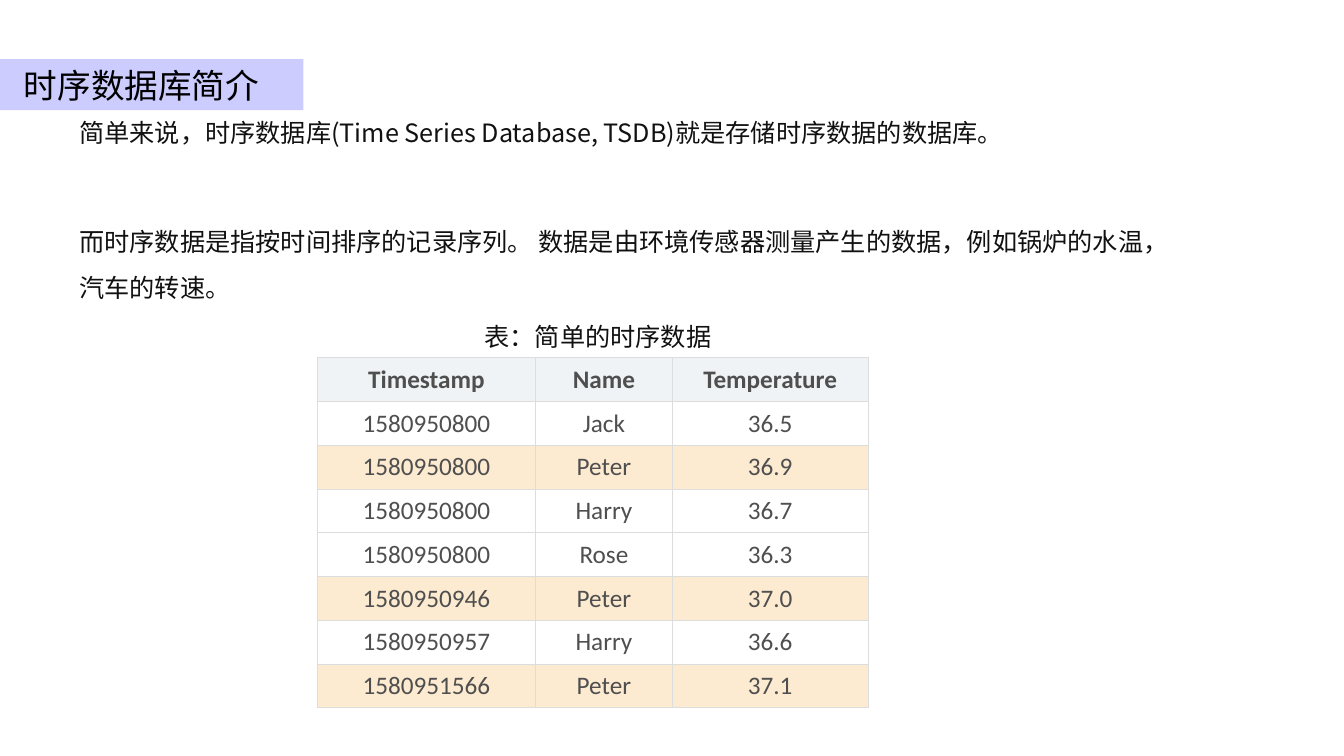
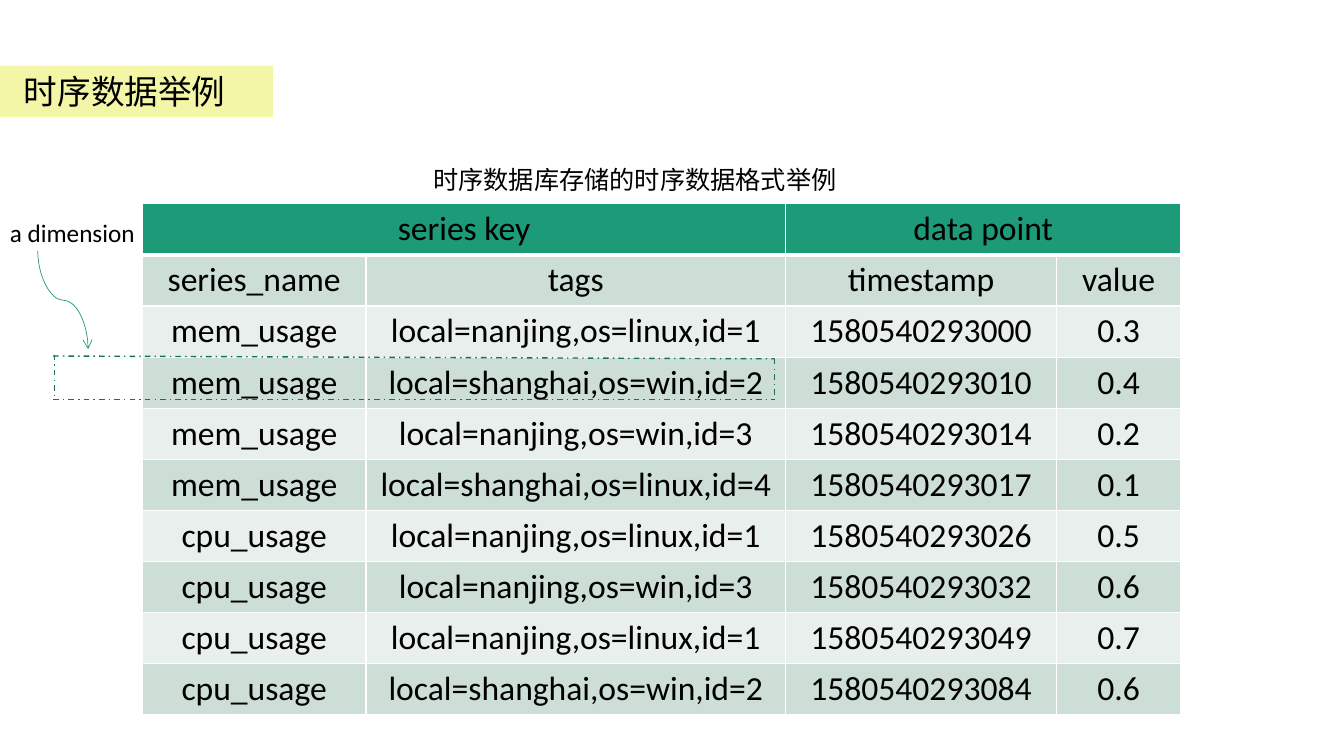
from collections import namedtuple

from lxml.etree import SubElement
from pptx import Presentation
from pptx.dml.color import RGBColor
from pptx.enum.dml import MSO_LINE_DASH_STYLE as Dash
from pptx.enum.shapes import MSO_CONNECTOR as Connector
from pptx.enum.text import MSO_ANCHOR as Anchor, MSO_AUTO_SIZE as AutoSize, PP_ALIGN as Align
from pptx.oxml.ns import qn
from pptx.util import Pt

Box = namedtuple("Box", "left top width height")

COLORS = {
    "black": "000000", "ink": "111111", "gray": "4F4F4F", "white": "FFFFFF",
    "lilac": "CCCCFF", "yellow": "F3F5A7",
    "header": "EFF3F5", "highlight": "FCEBD1", "grid": "DDDDDD",
    "green": "1D9A78", "dark_green": "157259", "band": "CDDED6", "pale_band": "E8EFEC",
}
CHINESE_FONT = "Noto Sans CJK SC"
LATIN_FONT = "Calibri"

READINGS = [
    ("Timestamp", "Name", "Temperature"),
    ("1580950800", "Jack", "36.5"),
    ("1580950800", "Peter", "36.9"),
    ("1580950800", "Harry", "36.7"),
    ("1580950800", "Rose", "36.3"),
    ("1580950946", "Peter", "37.0"),
    ("1580950957", "Harry", "36.6"),
    ("1580951566", "Peter", "37.1"),
]
SERIES = [
    ("series key", "", "data point", ""),
    ("series_name", "tags", "timestamp", "value"),
    ("mem_usage", "local=nanjing,os=linux,id=1", "1580540293000", "0.3"),
    ("mem_usage", "local=shanghai,os=win,id=2", "1580540293010", "0.4"),
    ("mem_usage", "local=nanjing,os=win,id=3", "1580540293014", "0.2"),
    ("mem_usage", "local=shanghai,os=linux,id=4", "1580540293017", "0.1"),
    ("cpu_usage", "local=nanjing,os=linux,id=1", "1580540293026", "0.5"),
    ("cpu_usage", "local=nanjing,os=win,id=3", "1580540293032", "0.6"),
    ("cpu_usage", "local=nanjing,os=linux,id=1", "1580540293049", "0.7"),
    ("cpu_usage", "local=shanghai,os=win,id=2", "1580540293084", "0.6"),
]


def rgb(name):
    """Return the named colour."""
    return RGBColor.from_string(COLORS[name])


def style_paragraph(paragraph, size, color, font=CHINESE_FONT, align=Align.LEFT, bold=False):
    """Set alignment and font of a paragraph."""
    paragraph.alignment = align
    paragraph.font.size = Pt(size)
    paragraph.font.bold = bold
    paragraph.font.color.rgb = rgb(color)
    paragraph.font.name = font
    properties = paragraph._p.pPr.find(qn("a:defRPr"))
    SubElement(properties, qn("a:ea"), typeface=font)


def add_title_slide(presentation, text, box, fill):
    """Add a slide whose title is a coloured band at the left edge."""
    slide = presentation.slides.add_slide(presentation.slide_layouts[5])
    title = slide.shapes.title
    title.left, title.top, title.width, title.height = map(Pt, box)
    title.fill.solid()
    title.fill.fore_color.rgb = rgb(fill)
    frame = title.text_frame
    frame.text = text
    frame.auto_size = AutoSize.NONE
    frame.word_wrap = True
    frame.vertical_anchor = Anchor.MIDDLE
    frame.margin_left = Pt(17)
    style_paragraph(frame.paragraphs[0], 24, "black")
    return slide


def add_text(slide, text, box, color="ink", font=CHINESE_FONT, spacing=1):
    """Add a wrapping line of text in the box."""
    frame = slide.shapes.add_textbox(*map(Pt, box)).text_frame
    frame.word_wrap = True
    frame.text = text
    style_paragraph(frame.paragraphs[0], 18, color, font)
    frame.paragraphs[0].line_spacing = spacing


def set_borders(cell, color, widths):
    """Draw the left, right, top and bottom borders of a cell."""
    properties = cell._tc.get_or_add_tcPr()
    for side, width in zip("LRTB", widths):
        line = SubElement(properties, qn(f"a:ln{side}"), w=str(Pt(width)))
        fill = SubElement(line, qn("a:solidFill"))
        SubElement(fill, qn("a:srgbClr"), val=COLORS[color])


def add_grid(slide, rows, box, column_widths):
    """Add a plain table with equal rows."""
    table = slide.shapes.add_table(len(rows), len(column_widths), *map(Pt, box)).table
    table.first_row = table.horz_banding = False
    for column, width in zip(table.columns, column_widths):
        column.width = Pt(width)
    for row in table.rows:
        row.height = Pt(box.height / len(rows))
    return table


def fill_cell(cell, text, fill, size, color, bold=False):
    """Write centred text on a filled cell."""
    cell.fill.solid()
    cell.fill.fore_color.rgb = rgb(fill)
    cell.text = text
    style_paragraph(cell.text_frame.paragraphs[0], size, color, LATIN_FONT, Align.CENTER, bold)


def add_readings_table(slide, box):
    """Add the temperature table with one person's rows highlighted."""
    table = add_grid(slide, READINGS, box, (155.6, 98, 139.6))
    for row_index, values in enumerate(READINGS):
        is_header = row_index == 0
        fill = "header" if is_header else "highlight" if "Peter" in values else "white"
        for column_index, value in enumerate(values):
            cell = table.cell(row_index, column_index)
            cell.margin_left = cell.margin_right = cell.margin_top = cell.margin_bottom = Pt(4.6)
            cell.vertical_anchor = Anchor.MIDDLE
            set_borders(cell, "grid", (0.6,) * 4)
            fill_cell(cell, value, fill, 18, "gray", is_header)


def add_series_table(slide, box):
    """Add the banded series table with a two-part header."""
    table = add_grid(slide, SERIES, box, (159.6, 299.8, 193.6, 88.6))
    for first in (0, 2):
        table.cell(0, first).merge(table.cell(0, first + 1))
    for row_index, values in enumerate(SERIES):
        fill = "green" if row_index == 0 else "band" if row_index % 2 else "pale_band"
        top = 3 if row_index == 1 else 1
        bottom = 3 if row_index == 0 else 1
        for column_index, value in enumerate(values):
            cell = table.cell(row_index, column_index)
            set_borders(cell, "white", (1, 1, top, bottom))
            fill_cell(cell, value, fill, 24, "black")


def add_line(slide, kind, ends, color, width):
    """Add a connector without shadow."""
    connector = slide.shapes.add_connector(kind, *map(Pt, ends))
    connector.line.color.rgb = rgb(color)
    connector.line.width = Pt(width)
    SubElement(connector._element.spPr, qn("a:effectLst"))
    return connector


def add_dimension_note(slide, box):
    """Add the label, the curved arrow and the dashed frame it points to."""
    left, top, width, height = box
    add_text(slide, "a dimension", Box(left, top, 124.6, 28.8), "black", LATIN_FONT)

    center_x, center_y, half_run, half_drop = left + 45, top + 63, 18, 35
    arrow = add_line(slide, Connector.CURVE, (
        center_x - half_drop, center_y + half_run,
        center_x + half_drop, center_y - half_run), "green", 0.5)
    properties = arrow._element.spPr
    properties.find(qn("a:xfrm")).set("rot", "5400000")
    SubElement(arrow.line._get_or_add_ln(), qn("a:tailEnd"), type="arrow")

    frame_left, right, bottom = left + 39, left + width, top + height
    upper = bottom - 31
    edges = [
        (frame_left - 1, upper, right, upper + 2),
        (frame_left - 1, bottom, right, bottom),
        (frame_left, upper - 1, frame_left, bottom),
        (right, upper + 2, right, bottom - 3),
    ]
    for edge in edges:
        line = add_line(slide, Connector.STRAIGHT, edge, "dark_green", 1)
        line.line.dash_style = Dash.DASH_DOT


def build_introduction(presentation):
    """Build the slide that introduces time series databases."""
    slide = add_title_slide(presentation, "时序数据库简介", Box(0, 42.3, 216.8, 36.3), "lilac")
    add_text(slide, "简单来说，时序数据库(Time Series Database, TSDB)就是存储时序数据的数据库。",
             Box(49.6, 80.6, 836.6, 28.8))
    add_text(slide, "而时序数据是指按时间排序的记录序列。 数据是由环境传感器测量产生的数据，"
             "例如锅炉的水温，汽车的转速。", Box(49.6, 147.6, 792.8, 69), spacing=1.5)
    add_text(slide, "表：简单的时序数据", Box(339, 226, 184.4, 28.8))
    add_readings_table(slide, Box(226.8, 255.6, 393.2, 250))


def build_example(presentation):
    """Build the slide with the example of stored series."""
    slide = add_title_slide(presentation, "时序数据举例", Box(0, 47.1, 194.9, 36.3), "yellow")
    add_series_table(slide, Box(101.8, 145.6, 741.6, 364))
    add_text(slide, "时序数据库存储的时序数据格式举例", Box(302.4, 113.6, 345, 28.8), "black")
    add_dimension_note(slide, Box(0, 151.4, 553.4, 133.9))


def main():
    """Build and save the presentation."""
    presentation = Presentation()
    presentation.slide_width, presentation.slide_height = Pt(960), Pt(540)
    build_introduction(presentation)
    build_example(presentation)
    presentation.save("out.pptx")


if __name__ == "__main__":
    main()
